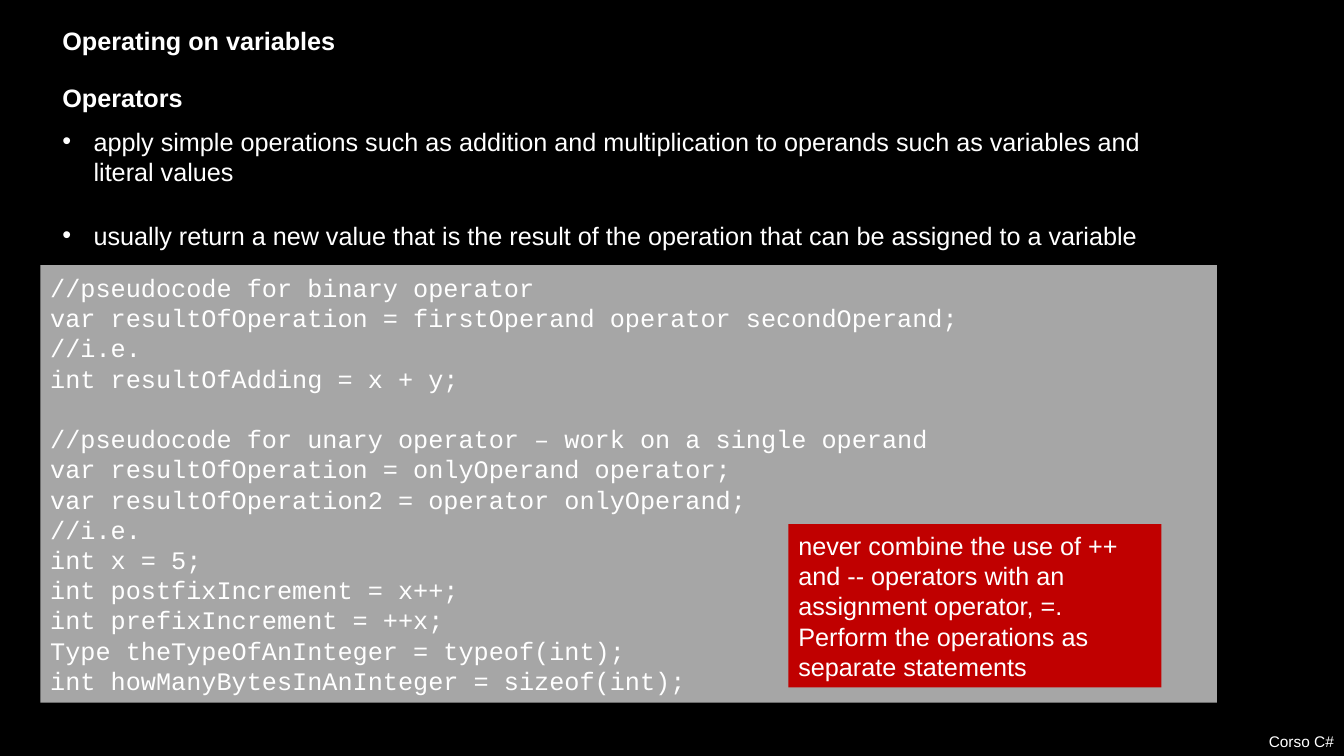
from lxml.etree import SubElement
from pptx import Presentation
from pptx.dml.color import RGBColor
from pptx.enum.shapes import MSO_SHAPE
from pptx.enum.text import MSO_ANCHOR, PP_ALIGN
from pptx.oxml.ns import qn
from pptx.util import Inches, Pt

COLORS = {"background": "000000", "text": "FFFFFF", "code": "A6A6A6", "warning": "C00000"}

BINARY_CODE = [
    "//pseudocode for binary operator",
    "var resultOfOperation = firstOperand operator secondOperand;",
    "//i.e.",
    "int resultOfAdding = x + y;",
]
UNARY_CODE = [
    "//pseudocode for unary operator – work on a single operand",
    "var resultOfOperation = onlyOperand operator;",
    "var resultOfOperation2 = operator onlyOperand;",
    "//i.e.",
    "int x = 5;",
    "int postfixIncrement = x++;",
    "int prefixIncrement = ++x;",
    "Type theTypeOfAnInteger = typeof(int);",
    "int howManyBytesInAnInteger = sizeof(int);",
]
OPERATOR_FACTS = [
    "apply simple operations such as addition and multiplication to operands "
    "such as variables and literal values",
    "usually return a new value that is the result of the operation that can be "
    "assigned to a variable",
]
WARNING = (
    "never combine the use of ++ and -- operators with an assignment operator, =. "
    "Perform the operations as separate statements"
)


class LessonSlide:
    font = "Arial"
    code_font = "Courier New"
    size = 18
    leading = 1.2

    def __init__(self, deck):
        self.slide = deck.slides.add_slide(deck.slide_layouts[6])
        fill = self.slide.background.fill
        fill.solid()
        fill.fore_color.rgb = self.color("background")

    def color(self, name):
        return RGBColor.from_string(COLORS[name])

    def fill_text(self, frame, lines, size=size, font=font, bold=False, align=PP_ALIGN.LEFT):
        frame.word_wrap = True
        frame.text = "\n".join(lines)
        for paragraph in frame.paragraphs:
            paragraph.alignment = align
            paragraph.line_spacing = Pt(size * self.leading)
            for run in paragraph.runs:
                run.font.name = font
                run.font.size = Pt(size)
                run.font.bold = bold
                run.font.color.rgb = self.color("text")
        return frame.paragraphs

    def text(self, left, top, width, height, lines, **style):
        box = self.slide.shapes.add_textbox(
            Inches(left), Inches(top), Inches(width), Inches(height))
        return self.fill_text(box.text_frame, lines, **style)

    def bullets(self, left, top, width, height, lines):
        paragraphs = self.text(left, top, width, height, lines)
        for paragraph in paragraphs:
            properties = paragraph._p.get_or_add_pPr()
            properties.set("marL", str(Inches(0.31)))
            properties.set("indent", str(Inches(-0.31)))
            SubElement(properties, qn("a:buFont"), typeface=self.font)
            SubElement(properties, qn("a:buChar"), char="•")
        for paragraph in paragraphs[1:]:
            paragraph.space_before = Pt(24)

    def panel(self, left, top, width, height, fill, lines, **style):
        block = self.slide.shapes.add_shape(
            MSO_SHAPE.RECTANGLE, Inches(left), Inches(top), Inches(width), Inches(height))
        block.shadow.inherit = False
        block.fill.solid()
        block.fill.fore_color.rgb = self.color(fill)
        block.line.fill.background()
        block.text_frame.vertical_anchor = MSO_ANCHOR.MIDDLE
        return self.fill_text(block.text_frame, lines, **style)

    def code(self, left, top, width, height, *sections):
        """Show code sections with one line of space between them."""
        lines = [line for section in sections for line in section]
        paragraphs = self.panel(left, top, width, height, "code", lines, font=self.code_font)
        start = 0
        for section in sections[:-1]:
            start += len(section)
            paragraphs[start].space_before = Pt(self.size * self.leading)


def main():
    deck = Presentation()
    deck.slide_width, deck.slide_height = Inches(13.33), Inches(7.5)
    lesson = LessonSlide(deck)
    lesson.text(0, 7.21, 13.33, 0.29, ["Corso C#"], size=11, align=PP_ALIGN.RIGHT)
    lesson.text(0.52, 0.2, 2.95, 0.4, ["Operating on variables"], bold=True)
    lesson.text(0.52, 0.77, 11.43, 0.4, ["Operators"], bold=True)
    lesson.bullets(0.52, 1.2, 11.43, 1.35, OPERATOR_FACTS)
    lesson.code(0.4, 2.63, 11.67, 4.34, BINARY_CODE, UNARY_CODE)
    lesson.panel(7.82, 5.2, 3.7, 1.62, "warning", [WARNING])
    deck.save("out.pptx")


if __name__ == "__main__":
    main()
